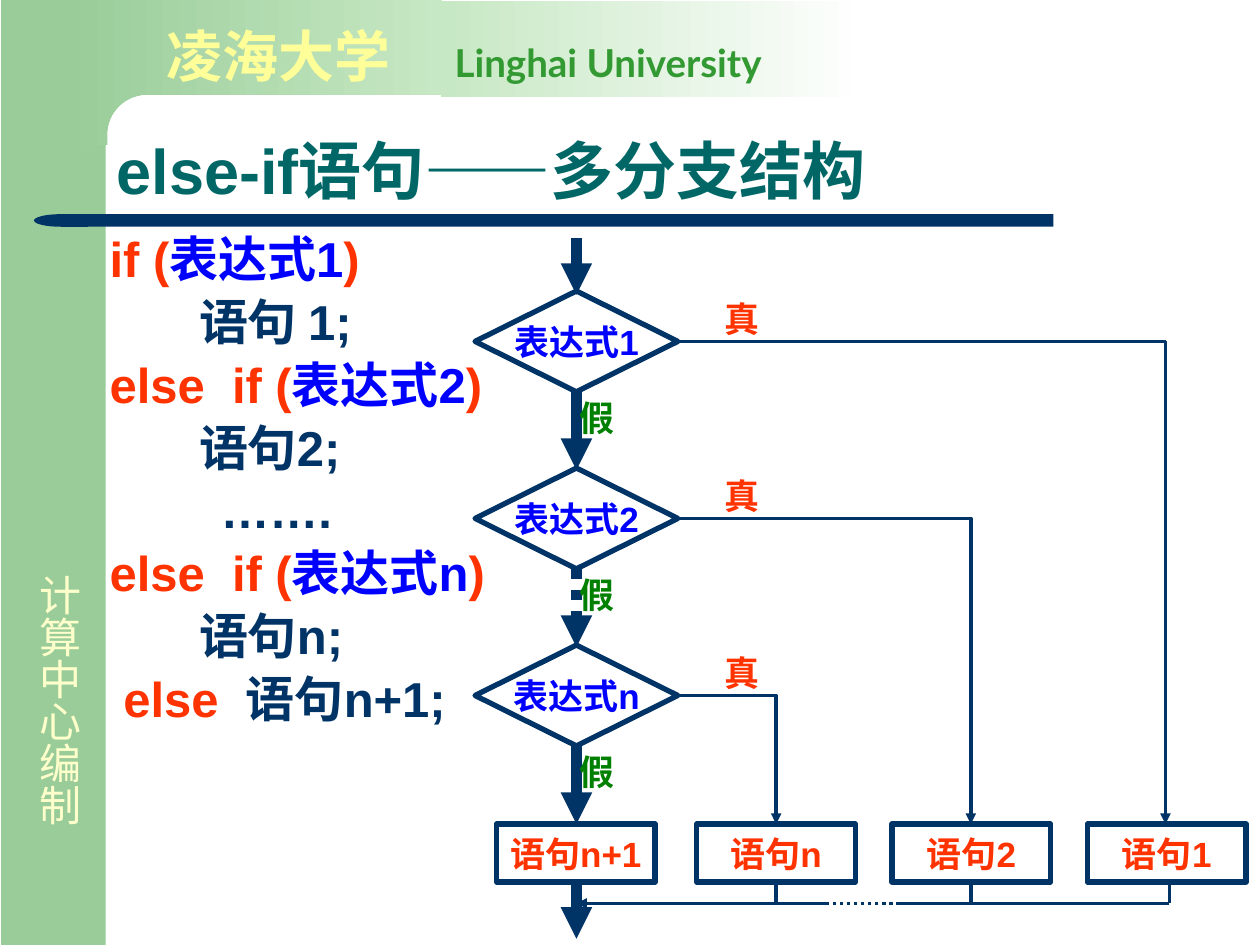
import math

import lxml.etree
import pptx
import pptx.dml.color
import pptx.enum.dml
import pptx.enum.shapes
import pptx.enum.text
import pptx.oxml.ns
import pptx.util

RGB = pptx.dml.color.RGBColor
SHAPES = pptx.enum.shapes.MSO_SHAPE
CONNECTORS = pptx.enum.shapes.MSO_CONNECTOR
ALIGN = pptx.enum.text.PP_ALIGN
ANCHOR = pptx.enum.text.MSO_ANCHOR

NAVY = RGB(0x00, 0x33, 0x66)
TEAL = RGB(0x00, 0x66, 0x66)
LEAF = RGB(0x99, 0xCC, 0x99)
MINT = RGB(0xC7, 0xE8, 0xC4)
WHITE = RGB(0xFF, 0xFF, 0xFF)
CREAM = RGB(0xFF, 0xFF, 0xCC)
YELLOW = RGB(0xFF, 0xFF, 0x99)
GRASS = RGB(0x33, 0x99, 0x33)
GREEN = RGB(0x00, 0x80, 0x00)
RED = RGB(0xFF, 0x33, 0x00)
BLUE = RGB(0x00, 0x00, 0xFF)


class Sketch:
    columns, rows = 100, 75
    font = "Arial"

    def __init__(self, deck):
        self.deck = deck
        self.page = deck.slides.add_slide(deck.slide_layouts[6])

    def x(self, column):
        return round(self.deck.slide_width * column / self.columns)

    def y(self, row):
        return round(self.deck.slide_height * row / self.rows)

    def area(self, left, top, width, height):
        return self.x(left), self.y(top), self.x(width), self.y(height)

    def paint(self, shape, colors, outline=None):
        shape.shadow.inherit = False
        if not colors:
            shape.fill.background()
        elif len(colors) == 1:
            shape.fill.solid()
            shape.fill.fore_color.rgb = colors[0]
        else:
            shape.fill.gradient()
            shape.fill.gradient_angle = 0
            for stop, color in zip(shape.fill.gradient_stops, colors):
                stop.color.rgb = color
        if outline:
            shape.line.color.rgb = NAVY
            shape.line.width = pptx.util.Pt(outline)
        else:
            shape.line.fill.background()
        return shape

    def block(self, kind, area, *colors, outline=None):
        shape = self.page.shapes.add_shape(kind, *self.area(*area))
        return self.paint(shape, colors, outline)

    def outline(self, points, *colors):
        places = [(self.x(column), self.y(row)) for column, row in points]
        builder = self.page.shapes.build_freeform(*places[0])
        builder.add_line_segments(places[1:])
        return self.paint(builder.convert_to_shape(), colors)

    def span(self, para, text, size, color, bold=True, font=None):
        span = para.add_run()
        span.text = text
        span.font.name = font or self.font
        span.font.size = pptx.util.Pt(size)
        span.font.bold = bold
        span.font.color.rgb = color

    def text(self, area, text, size, color, anchor=ANCHOR.TOP, **style):
        box = self.page.shapes.add_textbox(*self.area(*area))
        box.text_frame.word_wrap = True
        box.text_frame.vertical_anchor = anchor
        self.span(box.text_frame.paragraphs[0], text, size, color, **style)
        return box

    def label(self, shape, text, color):
        frame = shape.text_frame
        frame.word_wrap = False
        frame.vertical_anchor = ANCHOR.MIDDLE
        frame.margin_left = frame.margin_right = 0
        frame.margin_top = frame.margin_bottom = 0
        para = frame.paragraphs[0]
        para.alignment = ALIGN.CENTER
        self.span(para, text, 20, color)

    def tag(self, area, text, color):
        self.label(self.page.shapes.add_textbox(*self.area(*area)), text, color)

    def code(self, area, lines):
        frame = self.page.shapes.add_textbox(*self.area(*area)).text_frame
        frame.word_wrap = True
        frame.margin_left = frame.margin_right = self.x(0.2)
        frame.margin_top = frame.margin_bottom = self.y(0.1)
        for number, (indent, spans) in enumerate(lines):
            para = frame.add_paragraph() if number else frame.paragraphs[0]
            para.line_spacing = 0.9
            para.space_before = pptx.util.Pt(5.6)
            para._p.get_or_add_pPr().set("marL", str(self.x(indent)))
            for text, color in spans:
                self.span(para, text, 28, color)

    def line(self, start, end, width, arrow=False, dotted=False, bent=False):
        kind = CONNECTORS.ELBOW if bent else CONNECTORS.STRAIGHT
        link = self.page.shapes.add_connector(
            kind, self.x(start[0]), self.y(start[1]), self.x(end[0]), self.y(end[1]))
        link.line.color.rgb = NAVY
        link.line.width = pptx.util.Pt(width)
        if dotted:
            link.line.dash_style = pptx.enum.dml.MSO_LINE.ROUND_DOT
        qn = pptx.oxml.ns.qn
        properties = link._element.spPr
        if bent:
            properties.find(qn("a:prstGeom")).set("prst", "bentConnector2")
        if arrow:
            head = lxml.etree.SubElement(link.line._get_or_add_ln(), qn("a:tailEnd"))
            head.set("type", "triangle")
        lxml.etree.SubElement(properties, qn("a:effectLst"))


def draw_frame(sketch):
    sketch.block(SHAPES.RECTANGLE, (0.1, 0, 8.3, 75), LEAF)
    angles = [math.radians(90 * step / 16) for step in range(17)]
    corner = [(11.7 - 3.2 * math.sin(a), 10.7 - 3.2 * math.cos(a)) for a in angles]
    sketch.outline([(35.1, 0), (35.1, 7.5), *corner, (8.5, 11.5), (5.1, 11.5),
                    (5.1, 0), (35.1, 0)], LEAF, MINT)
    sketch.block(SHAPES.RECTANGLE, (6.9, 17, 76.7, 1), NAVY)
    cap = sketch.block(SHAPES.FLOWCHART_DELAY, (2.7, 17, 4.3, 1), NAVY)
    cap._element.spPr.find(pptx.oxml.ns.qn("a:xfrm")).set("flipH", "1")
    center = sketch.text((1.2, 44.6, 6, 22.8), "计算中心编制", 24, CREAM, bold=False)
    center.text_frame._txBody.bodyPr.set("vert", "eaVert")
    sketch.block(SHAPES.RECTANGLE, (35, 0.1, 33.9, 7.6), MINT, WHITE)
    sketch.text((12.2, 1.2, 22, 6.3), "凌海大学", 32, YELLOW)
    sketch.text((35.1, 2.6, 38, 5), "Linghai University", 22, GRASS, font="Lato")
    title = sketch.text((8.3, 8.4, 78.7, 8.6), "else-if语句——多分支结构", 36, TEAL,
                        ANCHOR.BOTTOM)
    title.text_frame.paragraphs[0].line_spacing = 0.9


def draw_code(sketch):
    def branch(opening, name):
        return 0, [(opening, RED), ("表达式" + name, BLUE), (")", RED)]

    sketch.code((8.5, 18.6, 32.1, 43.7), [
        branch("if (", "1"),
        (7.1, [("语句 1;", NAVY)]),
        branch("else  if (", "2"),
        (7.1, [("语句2;", NAVY)]),
        (8.8, [("…….", NAVY)]),
        branch("else  if (", "n"),
        (7.1, [("语句n;", NAVY)]),
        (1.1, [("else  ", RED), ("语句n+1;", NAVY)]),
    ])


def draw_flow(sketch):
    trunk, top, bottom, join = 45.75, 65.4, 70, 71.7
    sketch.line((trunk, 18.9), (trunk, 23.4), 6, arrow=True)
    for step, name in enumerate("12n"):
        row = 23.1 + 14.05 * step
        exit_column = 92.5 - 15.45 * step
        diamond = sketch.block(SHAPES.DIAMOND, (37.7, row, 16.1, 8), outline=3)
        sketch.label(diamond, "表达式" + name, BLUE)
        sketch.line((trunk, row + 8), (trunk, row + 14.2), 6, arrow=True,
                    dotted=name == "2")
        sketch.tag((44.7, row + 8, 5.4, 4), "假", GREEN)
        sketch.tag((56.3, row + 0.5, 5.2, 3.4), "真", RED)
        sketch.line((53.9, row + 4), (exit_column, top), 2, arrow=True, bent=True)
        sketch.line((exit_column + (0.3 if name == "1" else 0), bottom),
                    (exit_column + (0.3 if name == "1" else 0), join), 2)
    for column, name in ((39.4, "n+1"), (55.3, "n"), (70.8, "2"), (86.3, "1")):
        result = sketch.block(SHAPES.RECTANGLE, (column, top, 12.6, 4.6), outline=3)
        sketch.label(result, "语句" + name, RED)
    sketch.line((trunk, bottom), (trunk, 74.5), 6, arrow=True)
    sketch.line((92.8, join), (71.4, join), 2)
    sketch.line((71.4, join), (65.6, join), 2, dotted=True)
    sketch.line((65.6, join), (trunk, join), 2, arrow=True)


def main():
    deck = pptx.Presentation()
    deck.slide_width = pptx.util.Inches(10)
    deck.slide_height = pptx.util.Inches(7.5)
    sketch = Sketch(deck)
    draw_frame(sketch)
    draw_code(sketch)
    draw_flow(sketch)
    deck.save("out.pptx")


if __name__ == "__main__":
    main()
